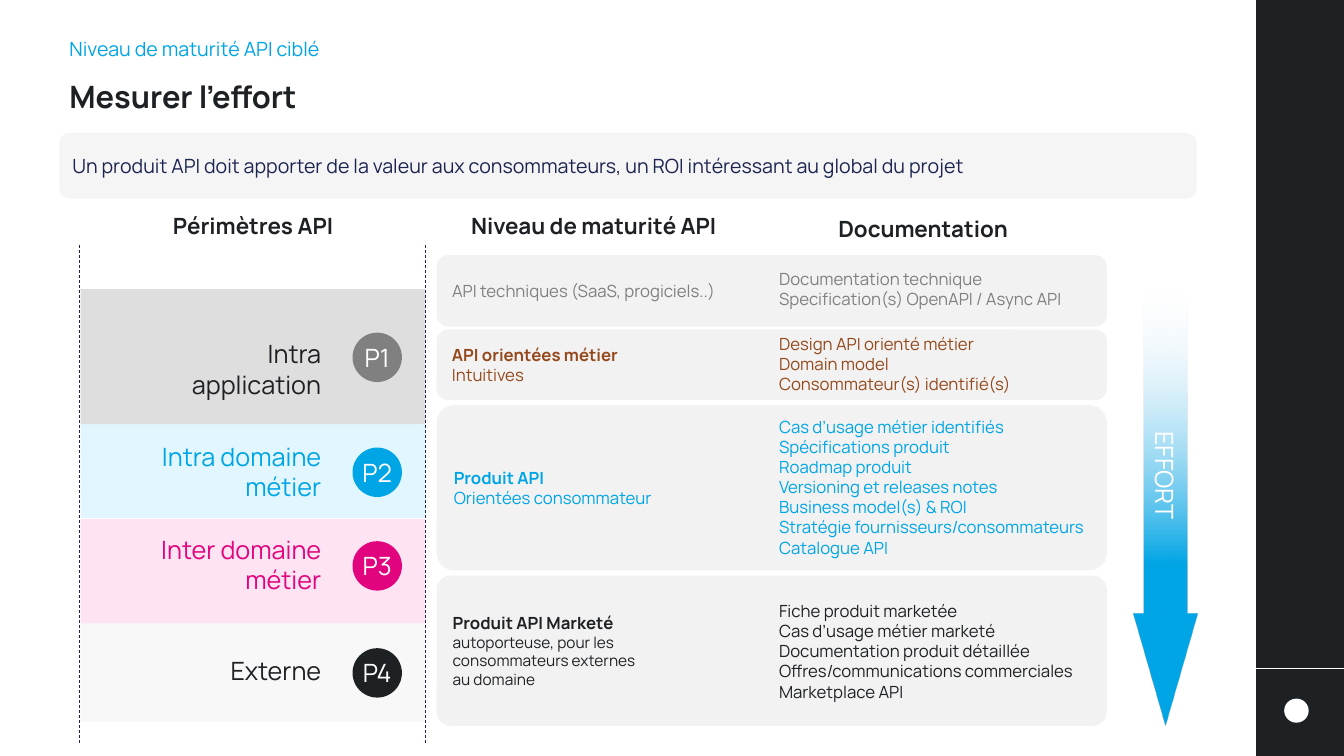
import pptx
import pptx.util
import pptx.dml.color
import pptx.enum.dml
import pptx.enum.shapes
import pptx.enum.text
import pptx.oxml.ns
import lxml.etree

Pt = pptx.util.Pt
RGB = pptx.dml.color.RGBColor
SHAPE = pptx.enum.shapes.MSO_SHAPE
ALIGN = pptx.enum.text.PP_ALIGN
ANCHOR = pptx.enum.text.MSO_ANCHOR
qn = pptx.oxml.ns.qn

INK = RGB(0x1E, 0x21, 0x24)
NAVY = RGB(0x1C, 0x24, 0x4F)
BLUE = RGB(0x00, 0xA5, 0xE5)
PINK = RGB(0xE2, 0x03, 0x7E)
BROWN = RGB(0x94, 0x48, 0x1B)
GREY = RGB(0x80, 0x80, 0x80)
WHITE = RGB(0xFF, 0xFF, 0xFF)
CARD = RGB(0xF2, 0xF2, 0xF2)
BANNER = RGB(0xF5, 0xF5, 0xF5)
PALE_GREY = RGB(0xBF, 0xBF, 0xBF)
PALE_BLUE = RGB(0xC7, 0xEF, 0xFF)
PALE_PINK = RGB(0xFE, 0xC8, 0xE6)
MIST = RGB(0xF0, 0xF2, 0xFA)

prs = pptx.Presentation()
prs.slide_width, prs.slide_height = Pt(960), Pt(540)
s = prs.slides.add_slide(prs.slide_layouts[6])


def add_box(kind, x, y, w, h, fill=None):
    box = [Pt(v) for v in (x, y, w, h)]
    if kind is None:
        return s.shapes.add_textbox(*box)
    sp = s.shapes.add_shape(kind, *box)
    sp.shadow.inherit = False
    sp.line.fill.background()
    if fill is not None:
        sp.fill.solid()
        sp.fill.fore_color.rgb = fill
    return sp


def write(sp, text, size, color, bold=False, align=ALIGN.LEFT, anchor=ANCHOR.TOP, left=7.2, inset=None):
    tf = sp.text_frame
    tf.word_wrap = True
    tf.vertical_anchor = anchor
    tf.margin_left = Pt(left)
    if inset is not None:
        tf.margin_top = tf.margin_right = tf.margin_bottom = Pt(inset)
    tf.text = text
    for p in tf.paragraphs:
        p.alignment = align
        for r in p.runs:
            r.font.name = "Manrope"
            r.font.size = Pt(size)
            r.font.bold = bold
            r.font.color.rgb = color
    return tf


add_box(SHAPE.RECTANGLE, 897.2, 0, 62.8, 540, INK)
add_box(SHAPE.OVAL, 917.3, 499, 17.5, 17.2, WHITE)

subtitle = add_box(None, 42.5, 26, 814.3, 20.9)
tf = write(subtitle, "Niveau de maturité API ciblé", 14, BLUE, anchor=ANCHOR.BOTTOM)
tf.paragraphs[0].line_spacing = 1.2
tf.paragraphs[0].space_after = Pt(6)
title = add_box(None, 42.5, 46.8, 814.3, 38.2)
tf = write(title, "Mesurer l’effort", 22, INK, True, anchor=ANCHOR.MIDDLE)
tf.paragraphs[0].line_spacing = 1.2

banner = add_box(SHAPE.ROUNDED_RECTANGLE, 42.5, 95, 812.2, 46.8, BANNER)
banner.adjustments[0] = 0.15
write(banner, "Un produit API doit apporter de la valeur aux consommateurs, un ROI intéressant au global du projet",
      14, NAVY, anchor=ANCHOR.MIDDLE)

headings = [
    ("Périmètres API", 107.3, 148.3, 146.9, ALIGN.CENTER),
    ("Niveau de maturité API", 311.8, 148.3, 224.6, ALIGN.CENTER),
    ("Documentation", 591.8, 150.1, 146.9, ALIGN.LEFT),
]
for text, x, y, w, align in headings:
    write(add_box(None, x, y, w, 26.6), text, 16, INK, True, align)

levels = [
    (182.2, 51.1, 0.167, GREY, "API techniques (SaaS, progiciels..)", False, 12,
     188.6, 36, "Documentation technique\vSpecification(s) OpenAPI / Async API"),
    (235.4, 50.4, 0.167, BROWN, "API orientées métier\nIntuitives", True, 12,
     234.7, 51.1, "Design API orienté métier\nDomain model\nConsommateur(s) identifié(s)"),
    (289.4, 118.1, 0.108, BLUE, "Produit API\nOrientées consommateur", True, 12,
     293.8, 108.7, "Cas d’usage métier identifiés\nSpécifications produit\nRoadmap produit\n"
     "Versioning et releases notes\nBusiness model(s) & ROI\n"
     "Stratégie fournisseurs/consommateurs\nCatalogue API"),
    (411.1, 107.3, 0.094, INK,
     "Produit API Marketé\nautoporteuse, pour les\nconsommateurs externes\nau domaine", True, 11,
     425.5, 79.9, "Fiche produit marketée\nCas d’usage métier marketé\vDocumentation produit détaillée\n"
     "Offres/communications commerciales\nMarketplace API"),
]
for top, height, radius, color, text, bold, detail_size, doc_top, doc_height, doc in levels:
    card = add_box(SHAPE.ROUNDED_RECTANGLE, 311.8, top, 478.8, height, CARD)
    card.adjustments[0] = radius
    tf = write(card, text, 12, color, bold, anchor=ANCHOR.MIDDLE, left=8.6, inset=0)
    for p in tf.paragraphs[1:]:
        p.runs[0].font.bold = False
        p.runs[0].font.size = Pt(detail_size)
    write(add_box(None, 549.4, doc_top, 260, doc_height), doc, 12, color)

arrow = add_box(SHAPE.STRIPED_RIGHT_ARROW, 677.5, 340.6, 309.6, 45.4)
arrow.rotation = 90
arrow.adjustments[0] = 0.676
arrow.adjustments[1] = 1.769
arrow.fill.gradient()
arrow.fill.gradient_angle = 180
stops = arrow.fill.gradient_stops
for stop, position, color in zip(stops, (0.37, 1), (BLUE, MIST)):
    stop.position = position
    stop.color.rgb = color
fade = list(arrow.fill._xPr.iter(qn("a:srgbClr")))[-1]
lxml.etree.SubElement(fade, qn("a:alpha"), val="0")
write(arrow, "EFFORT", 18, WHITE, align=ALIGN.CENTER, anchor=ANCHOR.MIDDLE)

scopes = [
    ("P1", "Intra application", 206.6, 96.5, PALE_GREY, GREY, INK, 237.6, 238.3, 146.2),
    ("P2", "Intra domaine métier", 303.1, 67, PALE_BLUE, BLUE, BLUE, 319.7, 311.8, 175),
    ("P3", "Inter domaine métier", 370.8, 74.5, PALE_PINK, PINK, PINK, 386.6, 378, 175),
    ("P4", "Externe", 445, 70.6, CARD, INK, INK, 463, 464.4, 115.2),
]
for code, label, top, height, fill, badge_fill, color, badge_top, label_top, label_width in scopes:
    band = add_box(SHAPE.ROUNDED_RECTANGLE, 57.6, top, 246.2, height, fill)
    band.adjustments[0] = 0
    tint = next(band.fill._xPr.iter(qn("a:srgbClr")))
    lxml.etree.SubElement(tint, qn("a:alpha"), val="50000")
    badge = add_box(SHAPE.OVAL, 251.8, badge_top, 35.3, 35.3, badge_fill)
    write(badge, code, 18, WHITE, align=ALIGN.CENTER, anchor=ANCHOR.MIDDLE, left=0, inset=0)
    write(add_box(None, 236.5 - label_width, label_top, label_width, 51.1), label, 18, color, align=ALIGN.RIGHT)

DASH = pptx.enum.dml.MSO_LINE.DASH
rules = [
    (897.2, 477.4, 960, 477.4, WHITE, 0.62, None),
    (56.9, 175, 56.9, 531.4, NAVY, 0.5, DASH),
    (303.8, 175, 303.8, 531.4, NAVY, 0.5, DASH),
]
for x1, y1, x2, y2, color, width, dash in rules:
    rule = s.shapes.add_connector(pptx.enum.shapes.MSO_CONNECTOR.STRAIGHT, Pt(x1), Pt(y1), Pt(x2), Pt(y2))
    rule.line.color.rgb = color
    rule.line.width = Pt(width)
    rule.line.dash_style = dash
    lxml.etree.SubElement(rule._element.spPr, qn("a:effectLst"))

prs.save("out.pptx")
